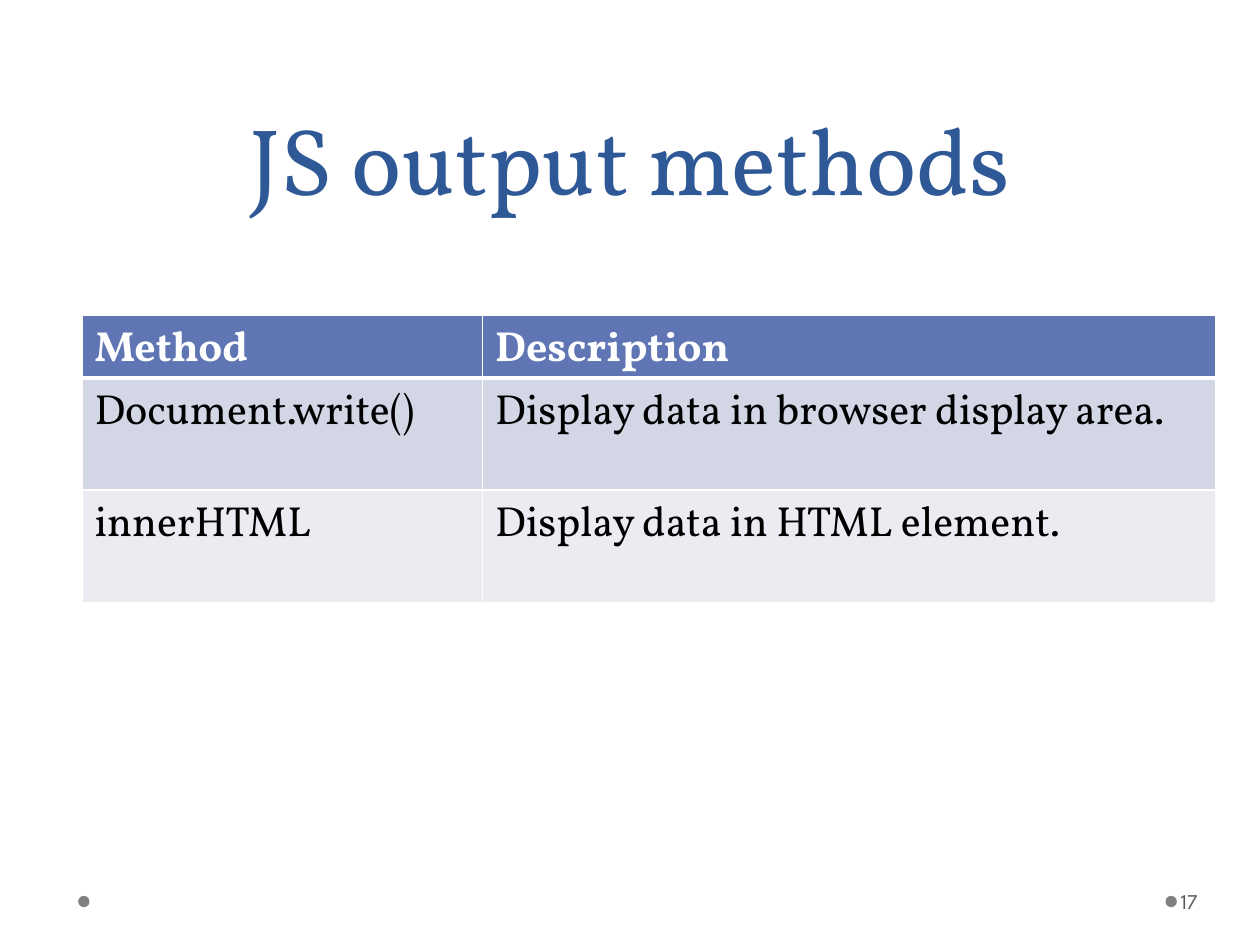
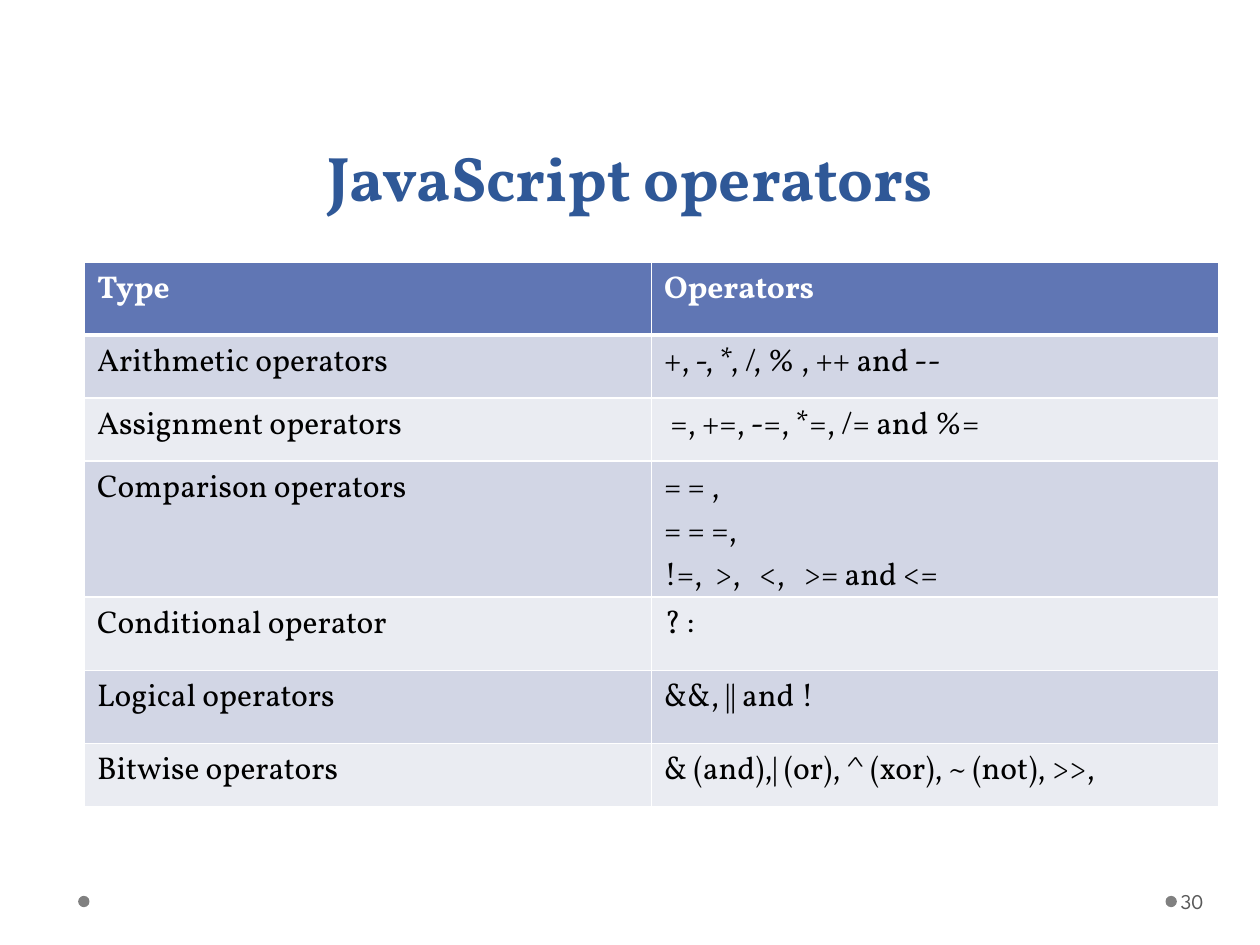
from dataclasses import dataclass

from lxml.etree import SubElement as Sub
from pptx import Presentation as Deck
from pptx.dml.color import RGBColor as Rgb
from pptx.enum.shapes import MSO_SHAPE as Shape
from pptx.enum.text import MSO_ANCHOR as Anchor, PP_ALIGN as Align
from pptx.oxml.ns import qn
from pptx.util import Inches, Pt


@dataclass(frozen=True)
class Theme:
    """Colours, fonts and type sizes of the deck."""
    title: str = "2F5897"
    head: str = "6076B4"
    bands: tuple = ("D2D6E5", "EAECF2")
    rule: str = "FFFFFF"
    light: str = "FFFFFF"
    ink: str = "000000"
    dot: str = "808080"
    note: str = "595959"
    serif: str = "Vollkorn"
    sans: str = "League Spartan"
    lead: int = 58
    small: int = 12
    thin: int = 1
    thick: int = 3


class Page:
    """Draws styled elements on the current slide, on a grid of 100 columns by 75 rows."""

    def __init__(self, theme):
        self.theme = theme
        self.deck = Deck()
        self.deck.slide_width, self.deck.slide_height = Inches(10), Inches(7.5)
        self.col = self.deck.slide_width / 100
        self.row = self.deck.slide_height / 75

    def box(self, left, top, wide, high):
        """Turn grid columns and rows into lengths."""
        return [round(n * u) for n, u in zip((left, top, wide, high), (self.col, self.row) * 2)]

    def start(self, title, size, bold, number):
        """Open a slide with its title, dots and number."""
        self.slide = self.deck.slides.add_slide(self.deck.slide_layouts[6])
        for left in (92.5, 6.2):
            self.dot(left, 71.1)
        self.title(title, size, bold)
        self.number(number)

    def font(self, para, name, size, hue, bold=False):
        """Set the font of a paragraph."""
        font = para.font
        font.name, font.size, font.bold = name, Pt(size), bold
        font.color.rgb = Rgb.from_string(hue)

    def text(self, words, place, anchor):
        """Add a wrapped text box and return its frame."""
        frame = self.slide.shapes.add_textbox(*self.box(*place)).text_frame
        frame.word_wrap = True
        frame.vertical_anchor = anchor
        frame.text = words
        return frame

    def title(self, words, size, bold):
        """Add the centred title."""
        para = self.text(words, (5, 0, 90, 17.5), Anchor.BOTTOM).paragraphs[0]
        para.alignment = Align.CENTER
        para.line_spacing = Pt(self.theme.lead)
        self.font(para, self.theme.serif, size, self.theme.title, bold)

    def number(self, value):
        """Add the slide number."""
        frame = self.text(str(value), (93.4, 69.5, 6.1, 4), Anchor.MIDDLE)
        frame.margin_left, frame.margin_right = Inches(0.03), Inches(0.05)
        self.font(frame.paragraphs[0], self.theme.sans, self.theme.small, self.theme.note)

    def dot(self, left, top):
        """Add a footer dot."""
        dot = self.slide.shapes.add_shape(Shape.OVAL, *self.box(left, top, 0.9, 0.9))
        dot.shadow.inherit = False
        dot.fill.solid()
        dot.fill.fore_color.rgb = Rgb.from_string(self.theme.dot)
        dot.line.fill.background()

    def edge(self, cell, side, width):
        """Draw one border of a cell."""
        line = Sub(cell._tc.get_or_add_tcPr(), qn(f"a:ln{side}"), w=str(Pt(width)))
        Sub(Sub(line, qn("a:solidFill")), qn("a:srgbClr"), val=self.theme.rule)

    def cell(self, cell, words, size, rank):
        """Fill a cell by the rank of its row."""
        look = self.theme
        heavy = {0: "B", 1: "T"}.get(rank)
        for side in "LRTB":
            self.edge(cell, side, look.thick if side == heavy else look.thin)
        cell.fill.solid()
        fill = look.bands[(rank - 1) % 2] if rank else look.head
        cell.fill.fore_color.rgb = Rgb.from_string(fill)
        cell.text = words
        for para in cell.text_frame.paragraphs:
            self.font(para, look.serif, size, look.ink if rank else look.light, not rank)

    def table(self, left, top, cols, rows, size, data):
        """Add a table with a header row and banded rows."""
        place = self.box(left, top, sum(cols), sum(rows))
        grid = self.slide.shapes.add_table(len(rows), len(cols), *place).table
        for col, wide in zip(grid.columns, cols):
            col.width = round(wide * self.col)
        for rank, (row, high) in enumerate(zip(grid.rows, rows)):
            row.height = round(high * self.row)
            for cell, words in zip(row.cells, data[rank]):
                self.cell(cell, words, size, rank)


METHODS = (
    ("Method", "Description"),
    ("Document.write()", "Display data in browser display area."),
    ("innerHTML", "Display data in HTML element."),
)
SIGNS = (
    ("Type", "Operators"),
    ("Arithmetic operators", "+, -, *, /, % , ++ and --"),
    ("Assignment operators", " =, +=, -=, *=, /= and %="),
    ("Comparison operators", "= = ,\n= = =,\n!=,  >,   <,   >= and <="),
    ("Conditional operator", "? :"),
    ("Logical operators", "&&, || and !"),
    ("Bitwise operators", "& (and),| (or), ^ (xor), ~ (not), >>,"),
)


def main():
    """Build and save the slides."""
    page = Page(Theme())
    page.start("JS output methods", 54, False, 17)
    page.table(6.5, 25, (31.8, 58.2), (5, 8.9, 8.9), 24, METHODS)
    page.start("JavaScript operators", 36, True, 30)
    page.table(6.7, 20.8, (45, 45), (5.8, 5, 5, 10.8, 5.8, 5.8, 5), 18, SIGNS)
    page.deck.save("out.pptx")


if __name__ == "__main__":
    main()
